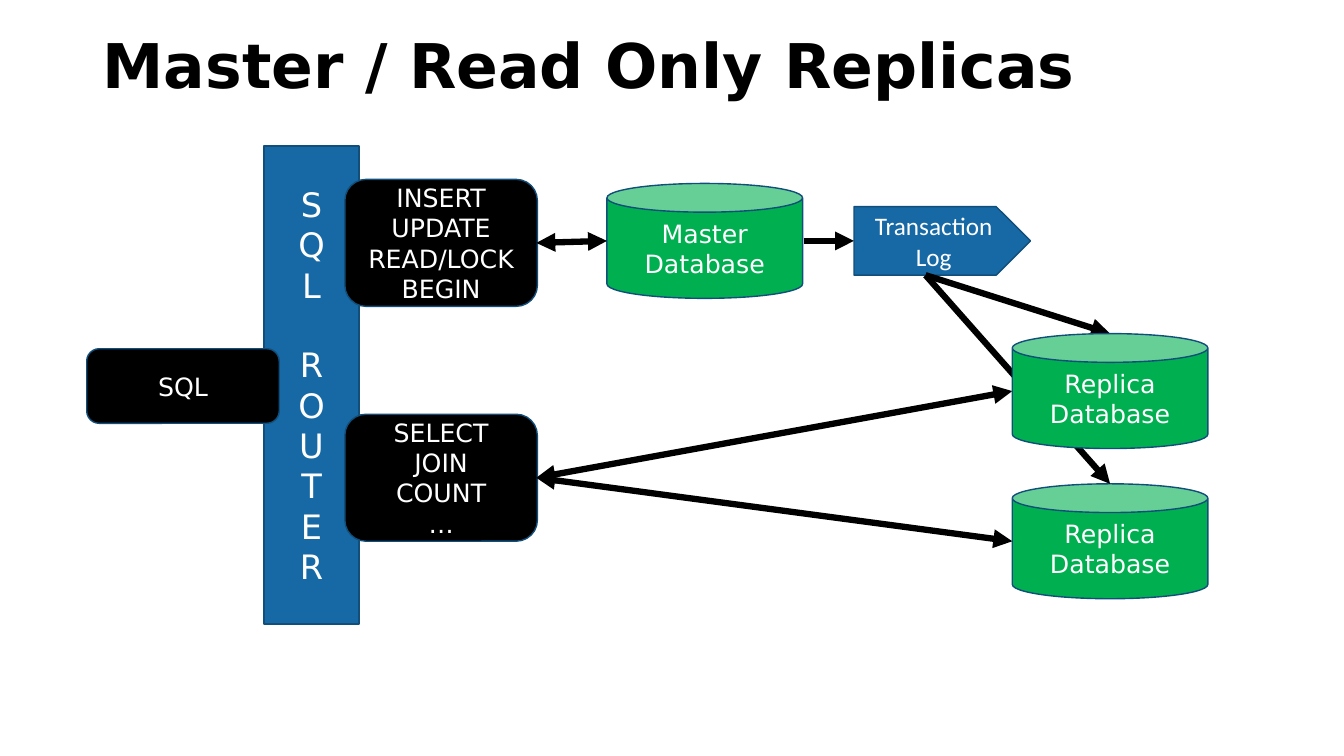
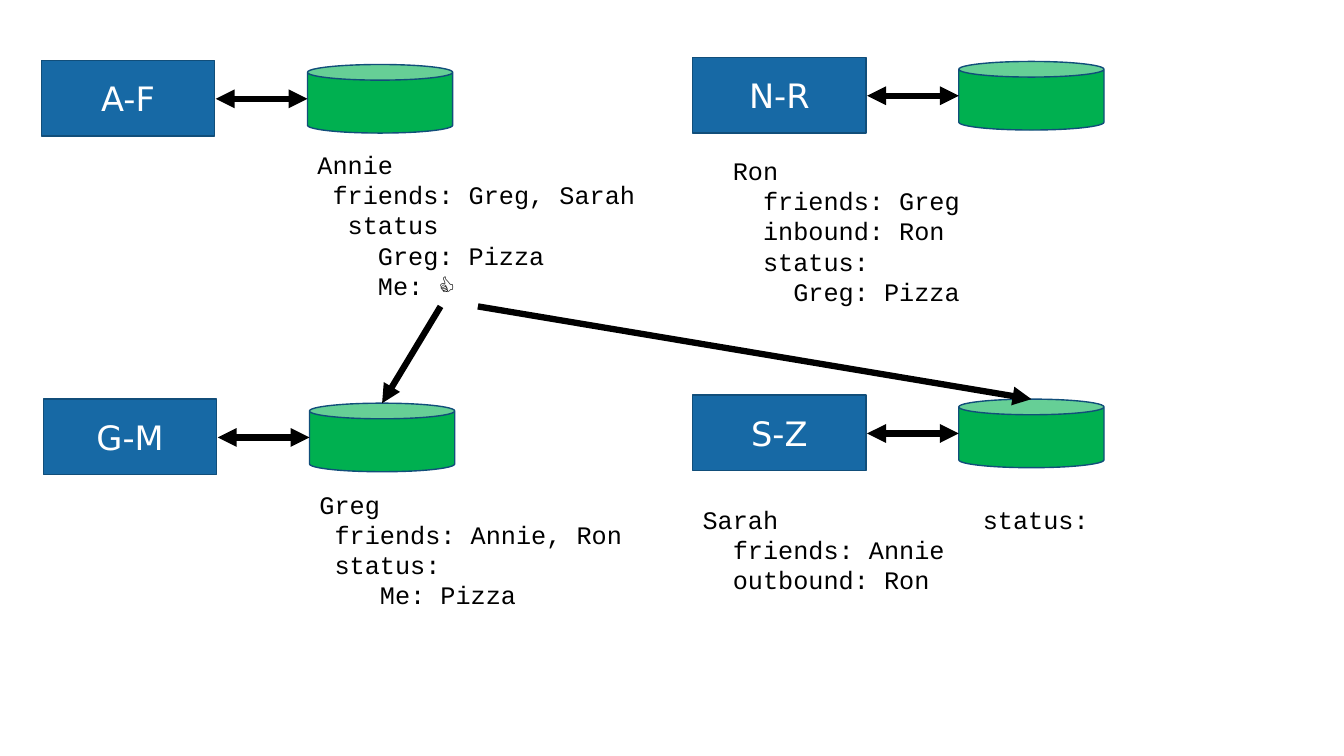
"""Build two database diagrams: read replicas and sharded user records."""
from dataclasses import dataclass

from lxml import etree
from pptx import Presentation
from pptx.dml.color import RGBColor
from pptx.enum.shapes import MSO_CONNECTOR, MSO_SHAPE
from pptx.enum.text import MSO_ANCHOR, PP_ALIGN
from pptx.oxml.ns import qn
from pptx.slide import Slide
from pptx.text.text import TextFrame
from pptx.util import Emu, Pt

RECT, ROUND = MSO_SHAPE.RECTANGLE, MSO_SHAPE.ROUNDED_RECTANGLE
CAN, TAG = MSO_SHAPE.CAN, MSO_SHAPE.PENTAGON
STRAIGHT = MSO_CONNECTOR.STRAIGHT
LEFT, CENTER = PP_ALIGN.LEFT, PP_ALIGN.CENTER
TOP, MIDDLE = MSO_ANCHOR.TOP, MSO_ANCHOR.MIDDLE

BLACK = RGBColor(0x00, 0x00, 0x00)
WHITE = RGBColor(0xFF, 0xFF, 0xFF)
BLUE = RGBColor(0x17, 0x69, 0xA5)
NAVY = RGBColor(0x11, 0x4E, 0x7A)
GREEN = RGBColor(0x00, 0xB0, 0x50)

SANS, MONO, LABEL = "DejaVu Sans", "Courier New", "Calibri"
EMU_PER_PX = 9144
MONO_CHAR = 15


@dataclass(frozen=True)
class Box:
    kind: MSO_SHAPE
    x: int
    y: int
    w: int
    h: int
    fill: RGBColor
    text: str = ""
    size: int = 18
    font: str = SANS
    gap: int = 0
    adj: float | None = None


@dataclass(frozen=True)
class Link:
    x1: int
    y1: int
    x2: int
    y2: int
    both: bool = False


@dataclass(frozen=True)
class Shard:
    x: int
    y: int
    keys: str


@dataclass(frozen=True)
class Record:
    x: int
    y: int
    w: int
    h: int
    lines: tuple[tuple[int, str], ...]


REPLICATION = (
    Box(CAN, 602, 182, 194, 114, GREEN, "Master\nDatabase"),
    Box(RECT, 262, 145, 94, 474, BLUE,
        "\n".join("\v".join(word) for word in ("SQL", "ROUTER")), 24, gap=28),
    Box(TAG, 847, 205, 175, 68, BLUE, "Transaction\nLog", font=LABEL),
    Link(797, 239, 847, 239),
    Link(918, 273, 1101, 331),
    Box(CAN, 1004, 480, 194, 114, GREEN, "Replica\nDatabase"),
    Link(918, 273, 1101, 480),
    Box(ROUND, 342, 178, 191, 126, BLACK, "INSERT\nUPDATE\nREAD/LOCK\nBEGIN"),
    Box(ROUND, 342, 411, 191, 126, BLACK, "SELECT\nJOIN\nCOUNT\n…"),
    Link(532, 241, 602, 239, both=True),
    Link(532, 474, 1004, 388, both=True),
    Box(CAN, 1004, 331, 194, 114, GREEN, "Replica\nDatabase"),
    Link(532, 474, 1004, 537, both=True),
    Box(ROUND, 86, 346, 191, 74, BLACK, "SQL"),
)

SHARDS = (
    Shard(41, 60, "A-F"),
    Shard(43, 396, "G-M"),
    Shard(687, 57, "N-R"),
    Shard(687, 392, "S-Z"),
)

RECORDS = (
    Record(305, 143, 337, 162, (
        (0, "Annie"), (1, "friends: Greg, Sarah"), (2, "status"),
        (4, "Greg: Pizza"), (4, "Me: 👍"))),
    Record(307, 480, 322, 131, (
        (0, "Greg"), (1, "friends: Annie, Ron"), (1, "status:"),
        (4, "Me: Pizza"))),
    Record(687, 495, 261, 131, (
        (0, "Sarah"), (2, "friends: Annie"), (2, "outbound: Ron"))),
    Record(717, 149, 246, 162, (
        (0, "Ron"), (2, "friends: Greg"), (2, "inbound: Ron"),
        (2, "status:"), (4, "Greg: Pizza"))),
    Record(965, 495, 126, 40, ((0, "status:"),)),
)

UPDATES = (Link(437, 304, 379, 400), Link(474, 304, 1023, 396))


def px(n: int) -> Emu:
    return Emu(n * EMU_PER_PX)


def write(tf: TextFrame, text: str, *, size: int = 18, font: str = SANS,
          color: RGBColor = BLACK, bold: bool = False, align: PP_ALIGN = LEFT,
          anchor: MSO_ANCHOR = TOP, wrap: bool = True, gap: int = 0,
          spacing: float | None = None, indents: tuple[int, ...] = ()) -> None:
    tf.word_wrap = wrap
    tf.vertical_anchor = anchor
    for i, line in enumerate(text.split("\n")):
        p = tf.add_paragraph() if i else tf.paragraphs[0]
        p.text = line
        p.alignment = align
        if spacing:
            p.line_spacing = spacing
        if i and gap:
            p.space_before = Pt(gap)
        if indents and indents[i]:
            pPr = p._p.get_or_add_pPr()
            pPr.set("marL", str(px(indents[i] * MONO_CHAR)))
            pPr.set("indent", "0")
        for r in p.runs:
            r.font.size = Pt(size)
            r.font.name = font
            r.font.bold = bold
            r.font.color.rgb = color


def add_box(s: Slide, b: Box) -> None:
    sp = s.shapes.add_shape(b.kind, px(b.x), px(b.y), px(b.w), px(b.h))
    sp.shadow.inherit = False
    sp.fill.solid()
    sp.fill.fore_color.rgb = b.fill
    sp.line.color.rgb = NAVY
    sp.line.width = Pt(1)
    if b.adj is not None:
        sp.adjustments[0] = b.adj
    if b.text:
        write(sp.text_frame, b.text, size=b.size, font=b.font, color=WHITE,
              align=CENTER, anchor=MIDDLE, gap=b.gap)


def add_link(s: Slide, k: Link) -> None:
    cn = s.shapes.add_connector(STRAIGHT, px(k.x1), px(k.y1), px(k.x2), px(k.y2))
    cn.line.color.rgb = BLACK
    cn.line.width = Pt(4.5)
    spPr = cn._element.spPr
    ln = spPr.find(qn("a:ln"))
    for end in ("a:headEnd", "a:tailEnd") if k.both else ("a:tailEnd",):
        etree.SubElement(ln, qn(end), type="triangle")
    etree.SubElement(spPr, qn("a:effectLst"))


def add_shard(s: Slide, d: Shard) -> None:
    add_box(s, Box(RECT, d.x, d.y, 172, 75, BLUE, d.keys, 24))
    add_box(s, Box(CAN, d.x + 264, d.y + 4, 144, 68, GREEN, adj=0.228))
    add_link(s, Link(d.x + 173, d.y + 38, d.x + 264, d.y + 38, both=True))


def add_record(s: Slide, d: Record) -> None:
    sp = s.shapes.add_textbox(px(d.x), px(d.y), px(d.w), px(d.h))
    indents, lines = zip(*d.lines)
    write(sp.text_frame, "\n".join(lines), font=MONO, wrap=False, indents=indents)


def add_title(s: Slide, text: str) -> None:
    sp = s.shapes.add_textbox(px(92), px(27), px(1150), px(82))
    write(sp.text_frame, text, size=44, bold=True, anchor=MIDDLE, spacing=0.9)


def build_replicas(s: Slide) -> None:
    add_title(s, "Master / Read Only Replicas")
    for item in REPLICATION:
        if isinstance(item, Box):
            add_box(s, item)
        else:
            add_link(s, item)


def build_shards(s: Slide) -> None:
    for shard in SHARDS:
        add_shard(s, shard)
    for record in RECORDS:
        add_record(s, record)
    for update in UPDATES:
        add_link(s, update)


def main() -> None:
    prs = Presentation()
    prs.slide_width, prs.slide_height = px(1333), px(750)
    for build in (build_replicas, build_shards):
        build(prs.slides.add_slide(prs.slide_layouts[6]))
    prs.save("out.pptx")


if __name__ == "__main__":
    main()
